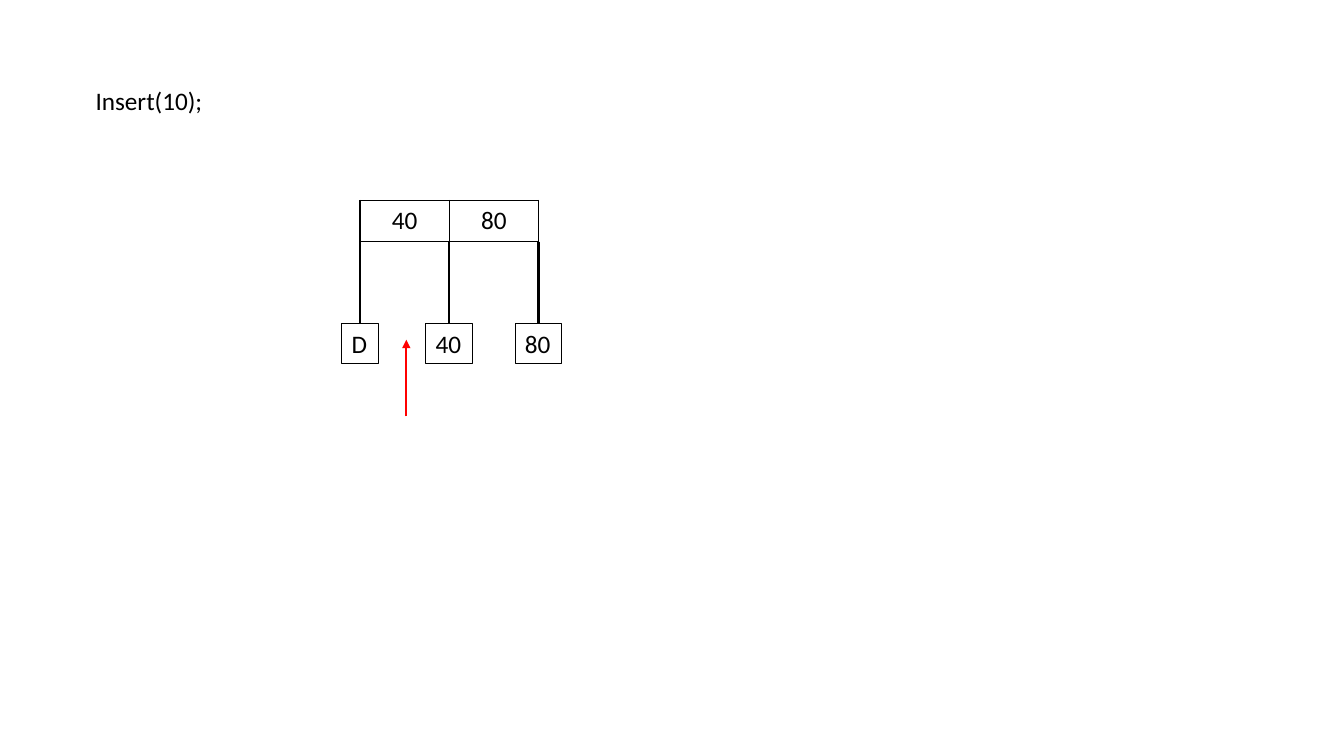
from dataclasses import dataclass

from lxml import etree
from pptx import Presentation
from pptx.dml.color import RGBColor
from pptx.enum import shapes, text
from pptx.oxml import ns
from pptx.util import Cm, Pt


@dataclass(frozen=True)
class Theme:
    font: str = "Calibri"
    size: float = 18
    ink: str = "000000"
    accent: str = "FF0000"
    cell_border: float = 1
    leaf_border: float = 0.75
    stroke: float = 1.5


@dataclass(frozen=True)
class Leaf:
    label: str
    width: float


@dataclass(frozen=True)
class Segment:
    x: float
    start: float
    end: float
    color: str
    arrow: bool = False


THEME = Theme()
KEYS = ["40", "80"]
LEAVES = [Leaf("D", 0.92), Leaf("40", 1.18), Leaf("80", 1.18)]

# Tree geometry in centimetres
NODE_LEFT, NODE_TOP = 9.07, 5.05
KEY_WIDTH, KEY_HEIGHT = 2.25, 1.04
NODE_BOTTOM = NODE_TOP + KEY_HEIGHT
LEAF_TOP, LEAF_HEIGHT = 8.15, 1.02


def write(frame, words: str, align=text.PP_ALIGN.LEFT) -> None:
    paragraph = frame.paragraphs[0]
    paragraph.text = words
    paragraph.alignment = align
    paragraph.font.name = THEME.font
    paragraph.font.size = Pt(THEME.size)
    paragraph.font.color.rgb = RGBColor.from_string(THEME.ink)


def fit_to_text(frame) -> None:
    frame.word_wrap = False
    frame.auto_size = text.MSO_AUTO_SIZE.SHAPE_TO_FIT_TEXT
    frame.vertical_anchor = text.MSO_ANCHOR.TOP


def add_border(cell) -> None:
    properties = cell._tc.get_or_add_tcPr()
    for position, side in enumerate(("lnL", "lnR", "lnT", "lnB")):
        edge = etree.Element(ns.qn(f"a:{side}"), w=str(Pt(THEME.cell_border)))
        fill = etree.SubElement(edge, ns.qn("a:solidFill"))
        etree.SubElement(fill, ns.qn("a:srgbClr"), val=THEME.ink)
        properties.insert(position, edge)


def add_index_node(slide, keys: list[str]) -> None:
    node = slide.shapes.add_table(
        1, len(keys), Cm(NODE_LEFT), Cm(NODE_TOP),
        Cm(KEY_WIDTH * len(keys)), Cm(KEY_HEIGHT)).table
    node.first_row = node.horz_banding = False
    for column, key in enumerate(keys):
        cell = node.cell(0, column)
        cell.fill.background()
        cell.vertical_anchor = text.MSO_ANCHOR.MIDDLE
        write(cell.text_frame, key, text.PP_ALIGN.CENTER)
        add_border(cell)


def add_segment(slide, segment: Segment) -> None:
    connector = slide.shapes.add_connector(
        shapes.MSO_CONNECTOR.STRAIGHT, Cm(segment.x), Cm(segment.start),
        Cm(segment.x), Cm(segment.end))
    connector.line.color.rgb = RGBColor.from_string(segment.color)
    connector.line.width = Pt(THEME.stroke)
    if segment.arrow:
        etree.SubElement(connector.line._get_or_add_ln(),
                         ns.qn("a:tailEnd"), type="triangle")
    etree.SubElement(connector._element.spPr, ns.qn("a:effectLst"))


def add_leaf(slide, leaf: Leaf, center: float) -> None:
    box = slide.shapes.add_shape(
        shapes.MSO_SHAPE.RECTANGLE, Cm(center - leaf.width / 2), Cm(LEAF_TOP),
        Cm(leaf.width), Cm(LEAF_HEIGHT))
    box.shadow.inherit = False
    box.fill.background()
    box.line.color.rgb = RGBColor.from_string(THEME.ink)
    box.line.width = Pt(THEME.leaf_border)
    fit_to_text(box.text_frame)
    write(box.text_frame, leaf.label)


def main() -> None:
    deck = Presentation()
    deck.slide_width, deck.slide_height = Cm(33.87), Cm(19.05)
    slide = deck.slides.add_slide(deck.slide_layouts[6])

    # Index node with its keys
    add_index_node(slide, KEYS)

    # Operation being carried out
    operation = slide.shapes.add_textbox(Cm(2.16), Cm(2.03), Cm(3.23), Cm(1.02))
    fit_to_text(operation.text_frame)
    write(operation.text_frame, "Insert(10);")

    # One leaf hangs from each key boundary
    for index, leaf in enumerate(LEAVES):
        boundary = NODE_LEFT + index * KEY_WIDTH
        add_segment(slide, Segment(boundary, NODE_BOTTOM, LEAF_TOP, THEME.ink))
        add_leaf(slide, leaf, boundary)

    # Place where the new value goes
    add_segment(slide, Segment(10.24, 10.49, 8.56, THEME.accent, arrow=True))

    deck.save("out.pptx")


if __name__ == "__main__":
    main()
